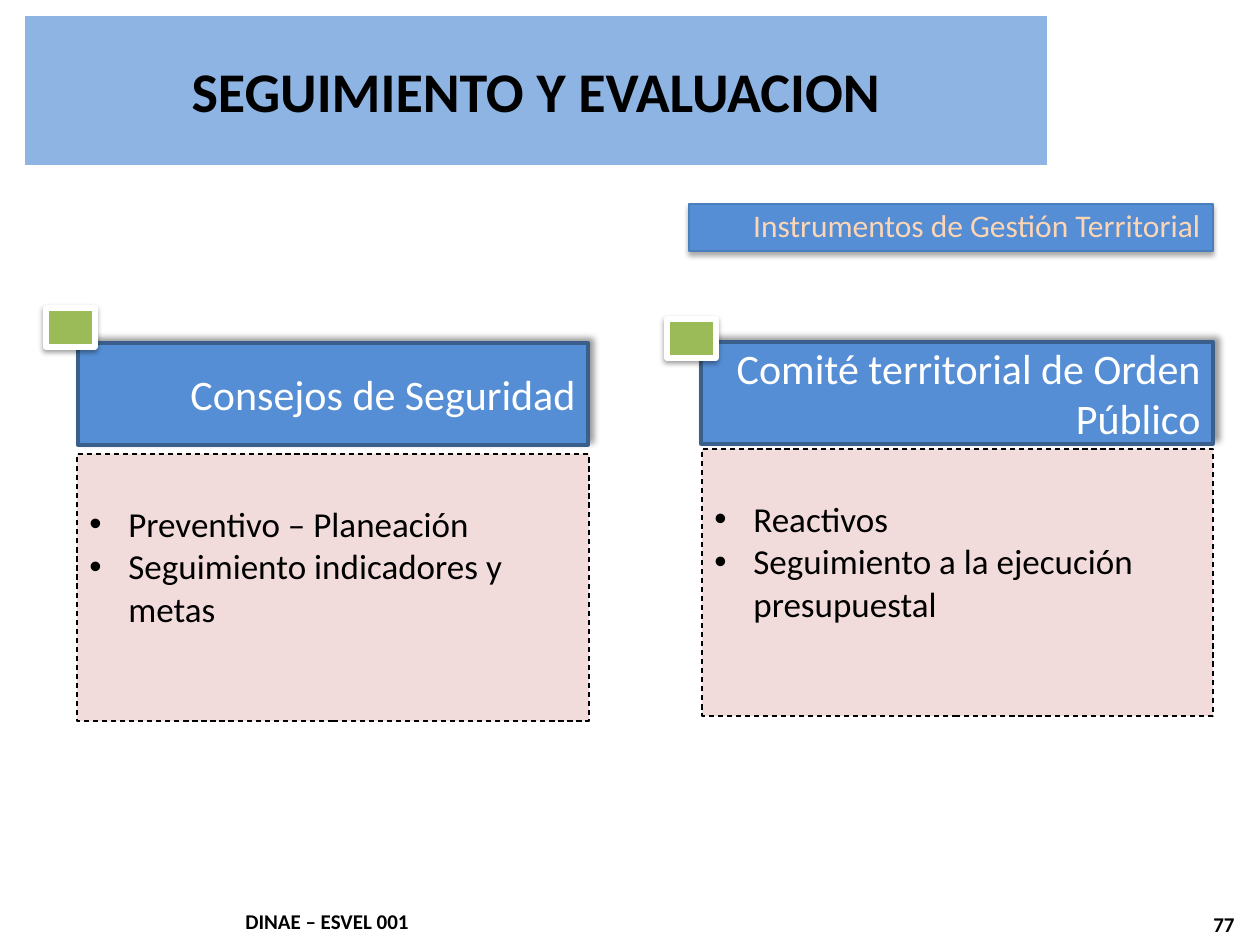
from dataclasses import dataclass
from typing import Optional

from lxml import etree
from pptx import Presentation
from pptx.dml.color import RGBColor
from pptx.enum.dml import MSO_LINE
from pptx.enum.shapes import MSO_SHAPE
from pptx.enum.text import MSO_ANCHOR, MSO_AUTO_SIZE, PP_ALIGN
from pptx.oxml.ns import qn
from pptx.util import Emu, Pt

RECT = MSO_SHAPE.RECTANGLE
DASH = MSO_LINE.DASH
TOP, MIDDLE = MSO_ANCHOR.TOP, MSO_ANCHOR.MIDDLE
LEFT, CENTER, RIGHT = PP_ALIGN.LEFT, PP_ALIGN.CENTER, PP_ALIGN.RIGHT
NO_FIT = MSO_AUTO_SIZE.NONE

BLACK = RGBColor(0x00, 0x00, 0x00)
WHITE = RGBColor(0xFF, 0xFF, 0xFF)
BLUE = RGBColor(0x55, 0x8E, 0xD5)
DARK_BLUE = RGBColor(0x3A, 0x5F, 0x8C)
MID_BLUE = RGBColor(0x4B, 0x7E, 0xBC)
LIGHT_BLUE = RGBColor(0x8E, 0xB4, 0xE3)
PINK = RGBColor(0xF2, 0xDC, 0xDB)
GREEN = RGBColor(0x9B, 0xBB, 0x59)
PEACH = RGBColor(0xFC, 0xD5, 0xB5)

FONT = "Calibri"
PX_PER_INCH = 126
BULLET_INDENT = 39
BODY_TOP_INSET = 49


@dataclass(frozen=True)
class Box:
    x: int
    y: int
    w: int
    h: int


@dataclass(frozen=True)
class Shadow:
    alpha: int
    blur: float
    dist: float
    angle: int


@dataclass(frozen=True)
class Panel:
    heading: str
    heading_box: Box
    items: tuple[str, ...]
    body_box: Box
    marker_box: Box


HEADING_SHADOW = Shadow(40, 4, 3, 315)
MARKER_SHADOW = Shadow(38, 3.1, 1.6, 90)
TAG_SHADOW = Shadow(35, 3.1, 1.8, 90)

PANELS = (
    Panel("Consejos de Seguridad", Box(78, 343, 510, 102),
          ("Preventivo – Planeación", "Seguimiento indicadores y metas"),
          Box(77, 454, 512, 267), Box(46, 308, 49, 39)),
    Panel("Comité territorial de Orden Público", Box(701, 342, 512, 102),
          ("Reactivos", "Seguimiento a la ejecución presupuestal"),
          Box(702, 449, 511, 267), Box(667, 319, 49, 39)),
)


def px(n: int) -> Emu:
    return Emu(round(n * 914400 / PX_PER_INCH))


def place(box: Box) -> tuple[Emu, Emu, Emu, Emu]:
    return px(box.x), px(box.y), px(box.w), px(box.h)


def add_shadow(sp, shadow: Shadow) -> None:
    effects = sp._element.spPr.find(qn("a:effectLst"))
    outer = etree.SubElement(
        effects, qn("a:outerShdw"), blurRad=str(Pt(shadow.blur)),
        dist=str(Pt(shadow.dist)), dir=str(shadow.angle * 60000),
        algn="ctr", rotWithShape="0")
    color = etree.SubElement(outer, qn("a:srgbClr"), val=str(BLACK))
    etree.SubElement(color, qn("a:alpha"), val=str(shadow.alpha * 1000))


def add_rect(shapes, box: Box, fill: RGBColor, line: RGBColor, width: float,
             shadow: Optional[Shadow] = None):
    sp = shapes.add_shape(RECT, *place(box))
    sp.fill.solid()
    sp.fill.fore_color.rgb = fill
    sp.line.color.rgb = line
    sp.line.width = Pt(width)
    sp.shadow.inherit = False
    if shadow:
        add_shadow(sp, shadow)
    return sp


def format_paragraph(p, text: str, size: int, color: RGBColor,
                     align: PP_ALIGN = LEFT, bold: bool = False) -> None:
    p.text = text
    p.alignment = align
    p.font.name = FONT
    p.font.size = Pt(size)
    p.font.bold = bold
    p.font.color.rgb = color


def add_bullet(p) -> None:
    pPr = p._p.get_or_add_pPr()
    pPr.set("marL", str(px(BULLET_INDENT)))
    pPr.set("indent", str(-px(BULLET_INDENT)))
    font = etree.Element(qn("a:buFont"), typeface="Arial")
    char = etree.Element(qn("a:buChar"), char="•")
    pPr.insert(0, font)
    pPr.insert(1, char)


def add_panel(slide, panel: Panel) -> None:
    group = slide.shapes.add_group_shape()
    heading = add_rect(group.shapes, panel.heading_box, BLUE, DARK_BLUE, 2,
                       HEADING_SHADOW)
    tf = heading.text_frame
    tf.word_wrap = True
    tf.vertical_anchor = MIDDLE
    format_paragraph(tf.paragraphs[0], panel.heading, 24, WHITE, RIGHT)

    body = add_rect(group.shapes, panel.body_box, PINK, BLACK, 0.75)
    body.line.dash_style = DASH
    tf = body.text_frame
    tf.word_wrap = True
    tf.vertical_anchor = TOP
    tf.margin_top = px(BODY_TOP_INSET)
    for i, item in enumerate(panel.items):
        p = tf.add_paragraph() if i else tf.paragraphs[0]
        format_paragraph(p, item, 20, BLACK)
        add_bullet(p)

    add_rect(slide.shapes, panel.marker_box, GREEN, WHITE, 3, MARKER_SHADOW)


def add_title(slide, text: str, box: Box) -> None:
    title = slide.shapes.title
    title.left, title.top, title.width, title.height = place(box)
    title.fill.solid()
    title.fill.fore_color.rgb = LIGHT_BLUE
    tf = title.text_frame
    tf.auto_size = NO_FIT
    tf.vertical_anchor = MIDDLE
    format_paragraph(tf.paragraphs[0], text, 32, BLACK, CENTER, True)


def add_tag(slide, text: str, box: Box) -> None:
    tag = add_rect(slide.shapes, box, BLUE, MID_BLUE, 0.75, TAG_SHADOW)
    tf = tag.text_frame
    tf.word_wrap = True
    tf.vertical_anchor = TOP
    p = tf.paragraphs[0]
    format_paragraph(p, text, 18, PEACH, RIGHT)
    p.line_spacing = 0.9


def add_footer(slide, text: str, box: Box) -> None:
    tf = slide.shapes.add_textbox(*place(box)).text_frame
    tf.word_wrap = False
    format_paragraph(tf.paragraphs[0], text, 12, BLACK, bold=True)


def main() -> None:
    prs = Presentation()
    prs.slide_width, prs.slide_height = px(1260), px(945)
    slide = prs.slides.add_slide(prs.slide_layouts[5])
    add_title(slide, "SEGUIMIENTO Y EVALUACION", Box(25, 16, 1022, 149))
    add_tag(slide, "Instrumentos de Gestión Territorial", Box(689, 204, 524, 47))
    for panel in PANELS:
        add_panel(slide, panel)
    add_footer(slide, "DINAE – ESVEL 001", Box(233, 902, 192, 38))
    add_footer(slide, "77", Box(1201, 905, 63, 38))
    prs.save("out.pptx")


if __name__ == "__main__":
    main()
